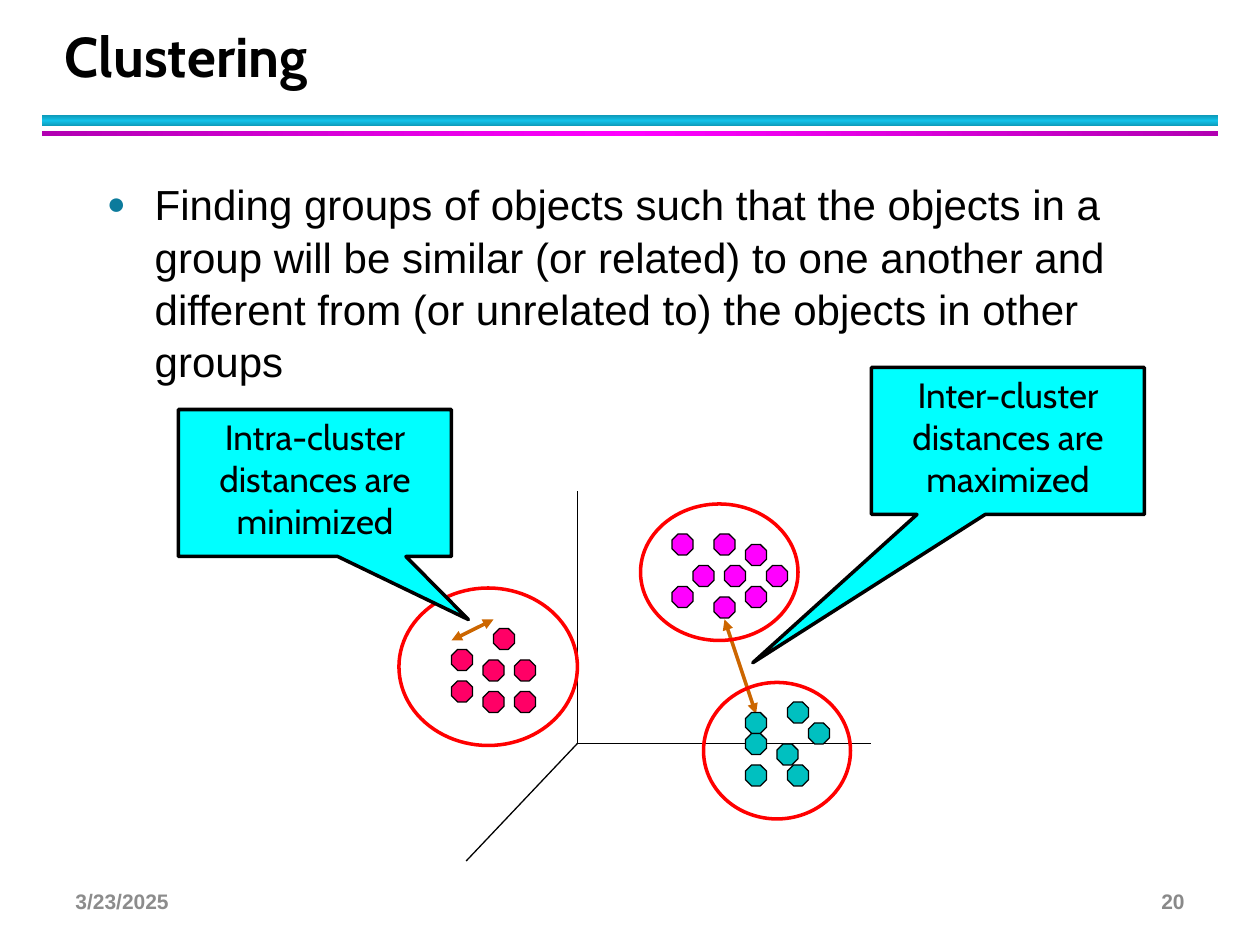
from copy import deepcopy

from lxml import etree
from pptx import Presentation
from pptx.dml.color import RGBColor
from pptx.enum.shapes import MSO_CONNECTOR, MSO_SHAPE
from pptx.enum.text import MSO_ANCHOR, PP_ALIGN
from pptx.oxml.ns import qn
from pptx.util import Inches, Pt

RECTANGLE, ELLIPSE = MSO_SHAPE.RECTANGLE, MSO_SHAPE.OVAL
OCTAGON, CALLOUT = MSO_SHAPE.OCTAGON, MSO_SHAPE.RECTANGULAR_CALLOUT
STRAIGHT = MSO_CONNECTOR.STRAIGHT
TOP, MIDDLE, BOTTOM = MSO_ANCHOR.TOP, MSO_ANCHOR.MIDDLE, MSO_ANCHOR.BOTTOM
LEFT, CENTER, RIGHT = PP_ALIGN.LEFT, PP_ALIGN.CENTER, PP_ALIGN.RIGHT

presentation = Presentation()
presentation.slide_width, presentation.slide_height = Inches(10), Inches(7.5)
slide = presentation.slides.add_slide(presentation.slide_layouts[6])
shapes = slide.shapes

# The slide is a grid of 120 columns by 90 rows of square cells
CELL = presentation.slide_width / 120


def color(value):
    return RGBColor.from_string(value)


def write(shape, text, size, font="Arial", fill="000000", bold=False,
          align=LEFT, anchor=TOP, spacing=None):
    frame = shape.text_frame
    frame.word_wrap = True
    frame.vertical_anchor = anchor
    paragraph = frame.paragraphs[0]
    paragraph.alignment = align
    paragraph.line_spacing = spacing
    run = paragraph.add_run()
    run.text = text
    run.font.size, run.font.name, run.font.bold = Pt(size), font, bold
    run.font.color.rgb = color(fill)
    return paragraph


# Header bars: each gradient is lightest in the middle
for row, height, edge, middle, angle in [
    (11, 1, "0E9BBA", "12C2E9", 90),
    (12.5, 0.5, "B200B2", "FF00FF", 0),
]:
    bar = shapes.add_shape(RECTANGLE, *[int(n * CELL) for n in (4, row, 112, height)])
    bar.shadow.inherit = False
    bar.line.fill.background()
    bar.fill.gradient()
    bar.fill.gradient_angle = angle
    stop_list = bar._element.spPr.find(qn("a:gradFill")).find(qn("a:gsLst"))
    stop_list.append(deepcopy(stop_list[0]))
    for stop, position, value in zip(bar.fill.gradient_stops, (0, 0.5, 1), (edge, middle, edge)):
        stop.position = position
        stop.color.rgb = color(value)

# Definition with its bullet
body = shapes.add_textbox(*[int(n * CELL) for n in (9, 16, 102, 29)])
body.text_frame.margin_top = Inches(0.07)
paragraph = write(
    body,
    "Finding groups of objects such that the objects in a group will be similar "
    "(or related) to one another and different from (or unrelated to) the objects "
    "in other groups",
    24, spacing=1.04)
properties = paragraph._p.get_or_add_pPr()
properties.set("marL", str(Inches(0.38)))
properties.set("indent", str(-Inches(0.38)))
bullet_color = etree.SubElement(properties, qn("a:buClr"))
etree.SubElement(bullet_color, qn("a:srgbClr"), val="0C7B9C")
etree.SubElement(properties, qn("a:buSzPct"), val="75000")
etree.SubElement(properties, qn("a:buFont"), typeface="Arial")
etree.SubElement(properties, qn("a:buChar"), char="●")

# Axes from the origin, then the two distance arrows
origin = (55, 70.8)
for start, end, value, width, arrow in [
    ((55, 46.8), origin, "000000", 0.75, False),
    (origin, (83, 70.8), "000000", 0.75, False),
    (origin, (44.4, 82), "000000", 0.75, False),
    ((72, 68), (69, 59), "CC6600", 2, True),
    ((43, 61), (47, 59), "CC6600", 2, True),
]:
    line = shapes.add_connector(STRAIGHT, *[int(n * CELL) for n in start + end])
    line.line.color.rgb = color(value)
    line.line.width = Pt(width)
    if arrow:
        for tag in ("a:headEnd", "a:tailEnd"):
            etree.SubElement(line.line._get_or_add_ln(), qn(tag), type="triangle")
    etree.SubElement(line._element.spPr, qn("a:effectLst"))

# Clusters: point colour, points (column, row), and the circle around them
clusters = [
    ("FF00FF", [(66, 54), (69, 54), (68, 51), (68, 57), (73, 54),
                (71, 52), (64, 51), (71, 56), (64, 56)], (61, 48, 15, 13)),
    ("FF0066", [(43, 62), (46, 63), (46, 66), (49, 63), (47, 60),
                (49, 66), (43, 65)], (38, 56, 17, 15)),
    ("00C0C0", [(71, 68), (77, 69), (74, 71), (71, 73), (75, 73),
                (71, 70), (75, 67)], (67, 65, 14, 13)),
]
for value, points, circle_box in clusters:
    for column, row in points:
        point = shapes.add_shape(OCTAGON, *[int(n * CELL) for n in (column, row - 0.15, 2, 2)])
        point.shadow.inherit = False
        point.fill.solid()
        point.fill.fore_color.rgb = color(value)
        point.line.color.rgb = color("000000")
        point.line.width = Pt(0.75)
    circle = shapes.add_shape(ELLIPSE, *[int(n * CELL) for n in circle_box])
    circle.shadow.inherit = False
    circle.fill.background()
    circle.line.color.rgb = color("FF0000")
    circle.line.width = Pt(2)

# Callouts: place and tip of the pointer
for column, row, tip, text in [
    (83, 35, (-0.935, 1.509), "Inter-cluster distances are maximized"),
    (17, 39, (0.562, 0.929), "Intra-cluster distances are minimized"),
]:
    callout = shapes.add_shape(CALLOUT, *[int(n * CELL) for n in (column, row, 26, 14)])
    callout.shadow.inherit = False
    callout.adjustments[0], callout.adjustments[1] = tip
    callout.fill.solid()
    callout.fill.fore_color.rgb = color("00FFFF")
    callout.line.color.rgb = color("000000")
    callout.line.width = Pt(2)
    write(callout, text, 20, font="Cabin", align=CENTER)

# Title, page number and date
title = shapes.add_textbox(*[int(n * CELL) for n in (5, 2, 108.7, 7)])
write(title, "Clustering", 32, font="Cabin", bold=True, anchor=BOTTOM, spacing=Pt(36))
for column, text, value, align in [
    (86, "20", "898989", RIGHT),
    (6, "3/23/2025", "8C8C8C", LEFT),
]:
    footer = shapes.add_textbox(*[int(n * CELL) for n in (column, 83.4, 28, 4.8)])
    write(footer, text, 12, fill=value, bold=True, align=align, anchor=MIDDLE)

presentation.save("out.pptx")
